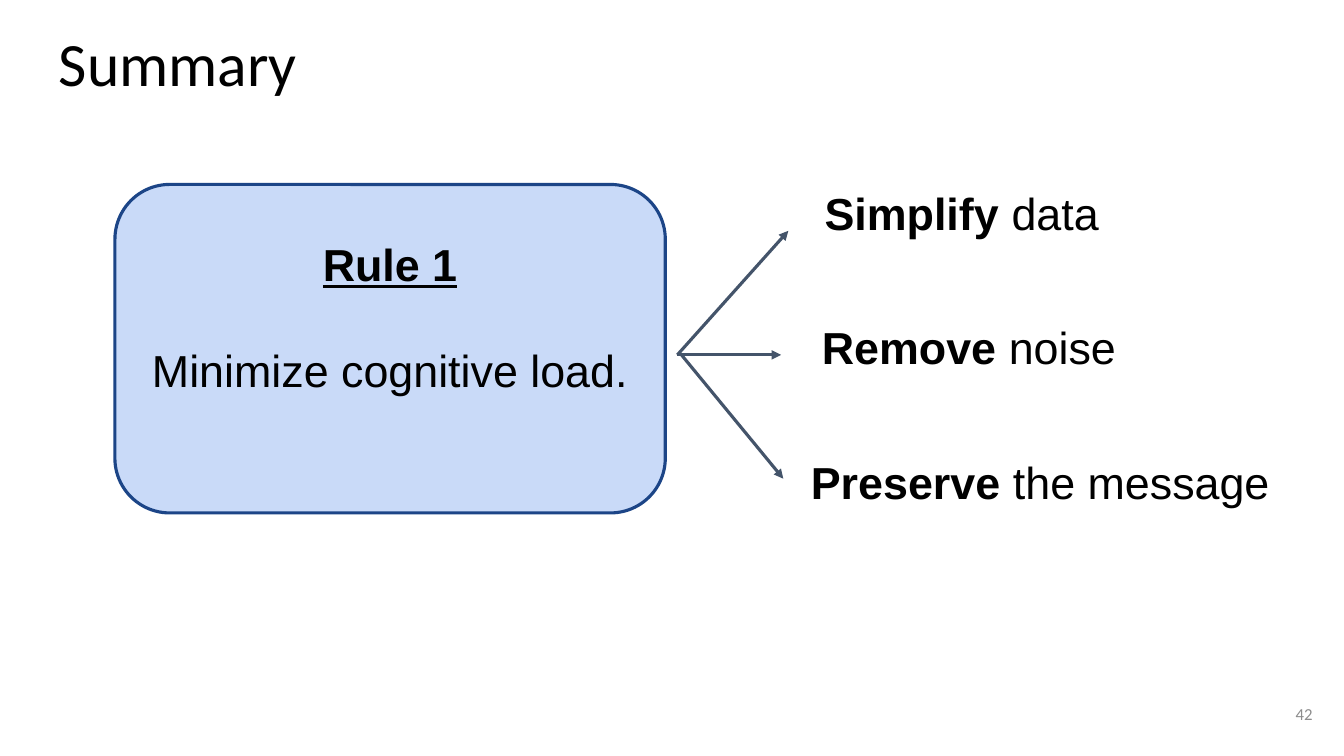
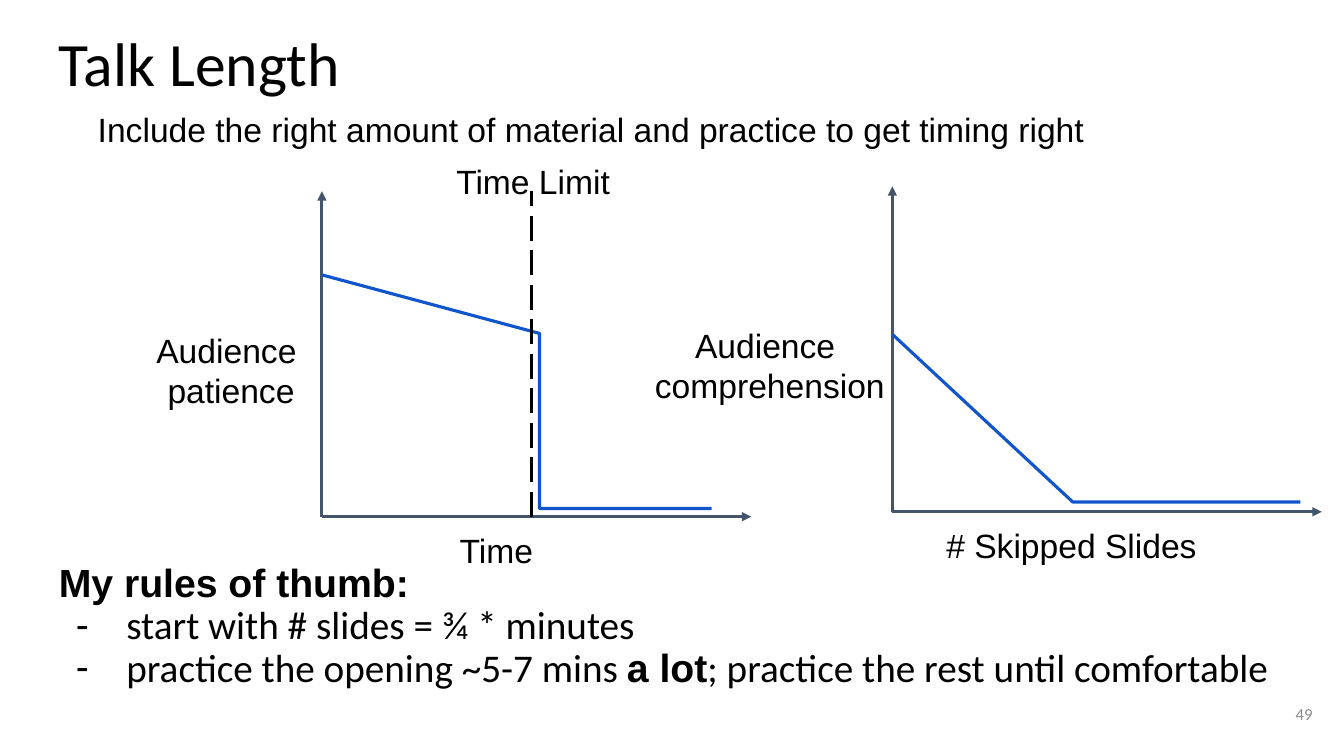
"""Build the summary and talk length slides."""
from dataclasses import dataclass

from lxml.etree import SubElement
from pptx import Presentation
from pptx.dml.color import RGBColor
from pptx.enum.dml import MSO_LINE
from pptx.enum.shapes import MSO_CONNECTOR, MSO_SHAPE
from pptx.enum.text import MSO_ANCHOR, MSO_AUTO_SIZE, PP_ALIGN
from pptx.oxml.ns import qn
from pptx.util import Inches, Pt

BLACK = RGBColor(0x00, 0x00, 0x00)
GRAY = RGBColor(0x8C, 0x8C, 0x8C)
SLATE = RGBColor(0x44, 0x54, 0x6A)
PALE_BLUE = RGBColor(0xC9, 0xDA, 0xF8)
NAVY = RGBColor(0x1C, 0x45, 0x87)
CURVE_BLUE = RGBColor(0x11, 0x55, 0xCC)
SANS, HUMANIST = "Arial", "Calibri"
LINE_WIDTH = Pt(2.25)
MARGIN = Inches(0.13)
TITLE_ONLY, TITLE_AND_BODY = 5, 1


@dataclass
class Box:
    """A region whose inner boxes are given in hundredths of its size."""
    left: float
    top: float
    width: float
    height: float

    def inner(self, left, top, width, height):
        """Return a region inside this one."""
        return Box(self.left + self.width * left / 100,
                   self.top + self.height * top / 100,
                   self.width * width / 100, self.height * height / 100)

    def point(self, across, down):
        """Return a position inside this region as slide lengths."""
        spot = self.inner(across, down, 0, 0)
        return Inches(spot.left), Inches(spot.top)

    def frame(self):
        """Return the place and size as slide lengths."""
        return [Inches(length) for length in
                (self.left, self.top, self.width, self.height)]


PAGE = Box(0, 0, 13.33, 7.5)


def write(para, text, size, name=SANS, color=BLACK, align=PP_ALIGN.LEFT):
    """Fill a paragraph, setting text between double stars in bold."""
    para.alignment = align
    para.font.size = Pt(size)
    para.font.name = name
    para.font.color.rgb = color
    for index, piece in enumerate(text.split("**")):
        for number, line in enumerate(piece.split("\n")):
            if number:
                para.add_line_break()
            if line:
                span = para.add_run()
                span.text = line
                if index % 2:
                    span.font.bold = True
                    span.font.name = SANS


def set_margins(text_frame, anchor=MSO_ANCHOR.TOP):
    """Give a text frame the shared margins, wrapping and anchor."""
    text_frame.word_wrap = True
    text_frame.auto_size = MSO_AUTO_SIZE.NONE
    text_frame.vertical_anchor = anchor
    text_frame.margin_left = text_frame.margin_right = MARGIN
    text_frame.margin_top = text_frame.margin_bottom = MARGIN


def add_label(slide, box, text, size=24, align=PP_ALIGN.CENTER,
              anchor=MSO_ANCHOR.TOP, **style):
    """Add a one-paragraph text box."""
    label = slide.shapes.add_textbox(*box.frame())
    set_margins(label.text_frame, anchor)
    write(label.text_frame.paragraphs[0], text, size, align=align, **style)


def add_line(slide, start, end, color=SLATE, arrow=True):
    """Add a straight line, by default with an arrowhead at its end."""
    line = slide.shapes.add_connector(MSO_CONNECTOR.STRAIGHT, *start, *end)
    line.line.color.rgb = color
    line.line.width = LINE_WIDTH
    properties = line._element.spPr
    if arrow:
        SubElement(properties.find(qn("a:ln")), qn("a:tailEnd"), type="triangle")
    SubElement(properties, qn("a:effectLst"))
    return line


def place(holder, box):
    """Move a placeholder into a region and return its text frame."""
    holder.left, holder.top, holder.width, holder.height = box.frame()
    set_margins(holder.text_frame)
    return holder.text_frame


def add_page(deck, layout, title, number):
    """Add a slide with its title and page number."""
    slide = deck.slides.add_slide(deck.slide_layouts[layout])
    para = place(slide.shapes.title, PAGE.inner(3.4, 2.65, 93.2, 11.2)).paragraphs[0]
    para.line_spacing = 0.9
    write(para, title, 44, HUMANIST)
    add_label(slide, PAGE.inner(92.65, 90.65, 6, 7.6), number, 12, PP_ALIGN.RIGHT,
              MSO_ANCHOR.MIDDLE, name=HUMANIST, color=GRAY)
    return slide


def add_rule_card(slide, box, heading, rule):
    """Add a rounded card with an underlined heading above a rule."""
    card = slide.shapes.add_shape(MSO_SHAPE.ROUNDED_RECTANGLE, *box.frame())
    card.shadow.inherit = False
    card.fill.solid()
    card.fill.fore_color.rgb = PALE_BLUE
    card.line.color.rgb = NAVY
    card.line.width = LINE_WIDTH
    text_frame = card.text_frame
    set_margins(text_frame)
    text_frame.margin_left = text_frame.margin_right = Inches(0.05)
    text_frame.margin_top = Inches(0.36)
    first = text_frame.paragraphs[0]
    write(first, f"**{heading}**", 32, align=PP_ALIGN.CENTER)
    first.font.underline = True
    second = text_frame.add_paragraph()
    second.space_before = Pt(37)
    write(second, rule, 32, align=PP_ALIGN.CENTER)


def add_fan(slide, box, branches):
    """Add arrows spreading from the left side to a column of labels."""
    for row, (text, left, width, start, tip) in enumerate(branches):
        add_line(slide, box.point(start, 44.5), box.point(*tip))
        add_label(slide, box.inner(left, row * 32.8, width, 34.4), text, 32)


def add_graph(slide, box, across, upward, upward_width, curve):
    """Add two axes with their names and a curve of straight pieces."""
    origin = box.point(0, 100)
    add_line(slide, origin, box.point(0, 0))
    add_line(slide, origin, box.point(100, 100))
    add_label(slide, box.inner(6.2 - upward_width, 38.6, upward_width, 48), upward)
    add_label(slide, box.inner(8.7, 100, 66, 24), across)
    start, *rest = [box.point(*spot) for spot in curve]
    builder = slide.shapes.build_freeform(*start)
    builder.add_line_segments(rest, close=False)
    trace = builder.convert_to_shape()
    trace.shadow.inherit = False
    trace.fill.background()
    trace.line.color.rgb = CURVE_BLUE
    trace.line.width = LINE_WIDTH


def add_limit(slide, box, across, text):
    """Add a dashed upright line with a label over a graph."""
    add_label(slide, box.inner(across - 21.6, -13.3, 44, 16.4), text)
    limit = add_line(slide, box.point(across, 100), box.point(across, 0),
                     BLACK, arrow=False)
    limit.line.dash_style = MSO_LINE.LONG_DASH


def fill_rules(slide, box, heading, rules):
    """Fill the body with a bold heading and a dashed list."""
    text_frame = place(slide.placeholders[1], box)
    for index, text in enumerate([f"**{heading}**", *rules]):
        para = text_frame.add_paragraph() if index else text_frame.paragraphs[0]
        para.line_spacing = 0.9
        para.space_before = Pt(0)
        properties = para._p.get_or_add_pPr()
        properties.set("marL", str(Inches(0.67) if index else 0))
        properties.set("indent", str(Inches(-0.5) if index else 0))
        if index:
            SubElement(properties, qn("a:buChar"), char="-")
        else:
            SubElement(properties, qn("a:buNone"))
        write(para, text, 28, HUMANIST if index else SANS)


def build_summary(deck):
    """Build the slide on the first rule."""
    slide = add_page(deck, TITLE_ONLY, "Summary", "42")
    add_rule_card(slide, PAGE.inner(8.55, 24.4, 40.95, 43.45),
                  "Rule 1", "Minimize cognitive load.")
    add_fan(slide, PAGE.inner(50.4, 22.8, 46.65, 54.25), [
        ("**Simplify** data", 12.4, 65.9, 0, (17.7, 14.25)),
        ("**Remove** noise", 4.35, 84.3, 0, (16.55, 44.5)),
        ("**Preserve** the message", 15.75, 84.3, 0.65, (16.9, 74.7)),
    ])


def build_talk_length(deck):
    """Build the slide with two graphs and rules of thumb."""
    slide = add_page(deck, TITLE_AND_BODY, "Talk Length", "49")
    fill_rules(slide, PAGE.inner(3.4, 72.8, 93.2, 22.95), "My rules of thumb:", [
        "start with # slides = ¾ * minutes",
        "practice the opening ~5-7 mins **a lot**; practice the rest until comfortable",
    ])
    add_label(slide, PAGE.inner(6.3, 12.65, 84.3, 11.2),
              "Include the right amount of material and practice to get timing right",
              align=PP_ALIGN.LEFT)
    patience = PAGE.inner(23.95, 25.3, 31.95, 43.05)
    add_graph(slide, patience, "Time ", "Audience \npatience", 54.7,
              [(0, 25.7), (50.7, 43.7), (50.7, 97.5), (90.8, 97.5)])
    add_limit(slide, patience, 48.8, "Time Limit")
    add_graph(slide, PAGE.inner(66.4, 24.65, 31.95, 43.05), "# Skipped Slides ",
              "Audience \ncomprehension", 69.5, [(0, 45.5), (42, 97), (95, 97)])


def main():
    """Build and save the deck."""
    deck = Presentation()
    deck.slide_width, deck.slide_height = Inches(PAGE.width), Inches(PAGE.height)
    build_summary(deck)
    build_talk_length(deck)
    deck.save("out.pptx")


if __name__ == "__main__":
    main()
